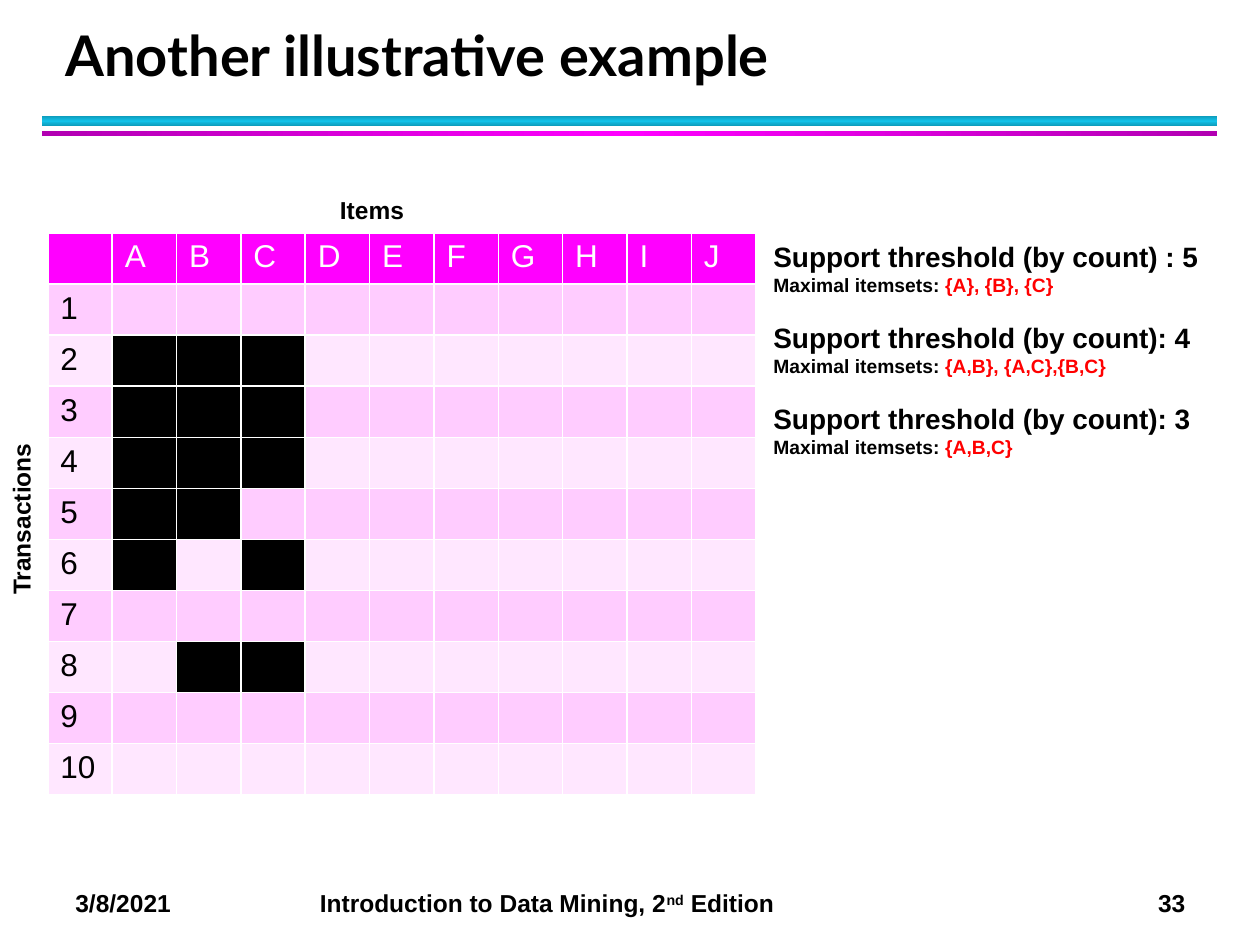
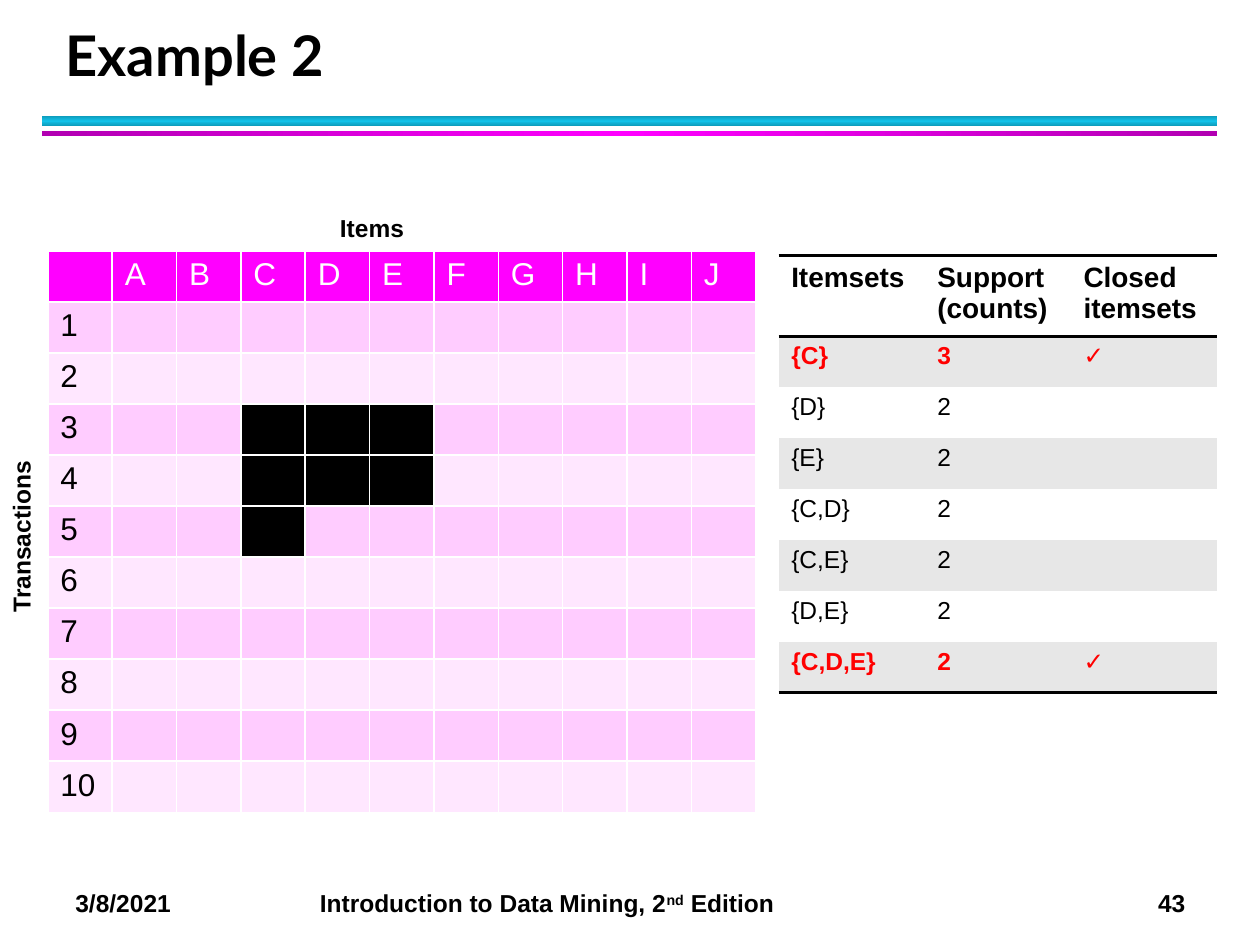
from collections import namedtuple

from pptx import Presentation
from pptx.dml.color import RGBColor
from pptx.enum.shapes import MSO_SHAPE
from pptx.enum.text import MSO_ANCHOR, MSO_AUTO_SIZE, PP_ALIGN
from pptx.oxml import parse_xml
from pptx.util import Inches, Pt

RECTANGLE = MSO_SHAPE.RECTANGLE
BOTTOM = MSO_ANCHOR.BOTTOM
FIXED = MSO_AUTO_SIZE.NONE
LEFT = PP_ALIGN.LEFT

COLUMNS, ROWS = 100, 75
UNIT = Inches(0.1)
TITLE_ONLY = 5
DRAWING = 'xmlns:a="http://schemas.openxmlformats.org/drawingml/2006/main"'
UNSTYLED_TABLE = "{2D5ABB26-0587-4C30-8999-92F81FD0307C}"

BLACK, WHITE, RED, MAGENTA = "000000", "FFFFFF", "FF0000", "FF00FF"
PURPLE, CYAN, TEAL = "B200B2", "12C2E9", "0E9BBA"
PINK_BANDS = ("FFCCFF", "FFE7FF")
GREY_BANDS = ("E7E7E7", WHITE)

BODY = {"name": "Arial", "size": Pt(14), "bold": True}
TITLE = {"name": "Lato", "size": Pt(32), "bold": True}
HEADING = BODY | {"size": Pt(16)}
DETAIL = BODY | {"size": Pt(11)}
GRID_TEXT = BODY | {"size": Pt(18), "bold": False}
PLAIN = BODY | {"bold": False}

ITEMS = "ABCDEFGHIJ"
TRANSACTION_COUNT = 10

Box = namedtuple("Box", "left top width height")

TITLE_BOX = Box(4.2, 1.7, 90.6, 5.8)
BANDS_BOX = Box(3.3, 9.2, 93.3, 1.6)
FOOTER_BOX = Box(5, 70, 93.3, 3.4)


def colour(value):
    return RGBColor.from_string(value)


def place(box):
    return [round(length * UNIT) for length in box]


def apply_format(target, values):
    for name, value in values.items():
        setattr(target, name, value)


def add_run(paragraph, text, values, ink=BLACK):
    run = paragraph.add_run()
    run.text = text
    apply_format(run.font, values)
    run.font.color.rgb = colour(ink)
    return run


def add_label(slide, box, text="", rotation=0):
    label = slide.shapes.add_textbox(*place(box))
    label.rotation = rotation
    label.text_frame.word_wrap = True
    if text:
        add_run(label.text_frame.paragraphs[0], text, BODY)
    return label.text_frame


def add_band(slide, box, edge, middle, angle):
    band = slide.shapes.add_shape(RECTANGLE, *place(box))
    stops = "".join(
        f'<a:gs pos="{position}"><a:srgbClr val="{shade}"/></a:gs>'
        for position, shade in ((0, edge), (50000, middle), (100000, edge))
    )
    band._element.spPr.insert(2, parse_xml(
        f'<a:gradFill {DRAWING}><a:gsLst>{stops}</a:gsLst>'
        f'<a:lin ang="{angle * 60000}" scaled="0"/></a:gradFill>'
    ))
    band.line.fill.background()
    band.shadow.inherit = False


def add_title(slide, box, text):
    title = slide.shapes.title
    apply_format(title, dict(zip(box._fields, place(box))))
    apply_format(title.text_frame, {
        "vertical_anchor": BOTTOM, "auto_size": FIXED, "word_wrap": True,
    })
    paragraph = title.text_frame.paragraphs[0]
    apply_format(paragraph, {"alignment": LEFT, "line_spacing": Pt(36)})
    add_run(paragraph, text, TITLE)


def add_bands(slide, box):
    add_band(slide, box._replace(height=box.height / 2), TEAL, CYAN, 90)
    add_band(slide, box._replace(top=box.top + box.height * 0.75, height=box.height / 4),
             PURPLE, MAGENTA, 0)


def add_footer(slide, box, number):
    paragraph = add_label(slide, box).paragraphs[0]
    stops = "".join(
        f'<a:tab pos="{round(column * UNIT)}" algn="{side}"/>'
        for column, side in ((19.4, "l"), (88.1, "r"))
    )
    paragraph._p.get_or_add_pPr().append(parse_xml(f"<a:tabLst {DRAWING}>{stops}</a:tabLst>"))
    add_run(paragraph, "3/8/2021\tIntroduction to Data Mining, 2", BODY)
    ordinal = add_run(paragraph, "nd", BODY)
    ordinal._r.get_or_add_rPr().set("baseline", "30000")
    add_run(paragraph, f" Edition\t{number}", BODY)


def add_plain_table(slide, box, row_heights, column_count):
    table = slide.shapes.add_table(len(row_heights), column_count, *place(box)).table
    table._tbl.tblPr[0].text = UNSTYLED_TABLE
    for column in table.columns:
        column.width = round(box.width / column_count * UNIT)
    for row, height in zip(table.rows, row_heights):
        row.height = round(height * UNIT)
    return table


def fill_cell(cell, text, values, ink, fill, sides="", border=WHITE, weight=1):
    properties = cell._tc.get_or_add_tcPr()
    for side in sides:
        properties.append(parse_xml(
            f'<a:ln{side} {DRAWING} w="{Pt(weight)}"><a:solidFill>'
            f'<a:srgbClr val="{border}"/></a:solidFill></a:ln{side}>'
        ))
    cell.fill.solid()
    cell.fill.fore_color.rgb = colour(fill)
    for index, line in enumerate(text.split("\n") if text else []):
        frame = cell.text_frame
        add_run(frame.add_paragraph() if index else frame.paragraphs[0], line, values, ink)


def add_transaction_grid(slide, box, purchases):
    row_count = TRANSACTION_COUNT + 1
    table = add_plain_table(slide, box, [box.height / row_count] * row_count, len(ITEMS) + 1)
    for column, item in enumerate(("", *ITEMS)):
        fill_cell(table.cell(0, column), item, GRID_TEXT, WHITE, MAGENTA, "LRTB")
        for transaction in range(1, row_count):
            bought = item and item in purchases.get(transaction, "")
            fill = BLACK if bought else PINK_BANDS[(transaction - 1) % 2]
            text = "" if item else str(transaction)
            fill_cell(table.cell(transaction, column), text, GRID_TEXT, BLACK, fill, "LRTB")
    add_label(slide, Box(box.left + 22.2, box.top - 3.5, 7.7, 4), "Items")
    add_label(slide, Box(box.left - 9.2, box.top + box.height / 2 - 2, 14.8, 4),
              "Transactions", 270)


def add_thresholds(slide, box, thresholds):
    frame = add_label(slide, box)
    for index, (heading, itemsets) in enumerate(thresholds):
        paragraph = frame.add_paragraph() if index else frame.paragraphs[0]
        if index:
            paragraph.space_before = Pt(14)
        add_run(paragraph, heading, HEADING)
        detail = frame.add_paragraph()
        add_run(detail, "Maximal itemsets: ", DETAIL)
        add_run(detail, itemsets, DETAIL, RED)


def add_support_table(slide, box, headers, supports):
    header_height = 6.4
    row_height = (box.height - header_height) / len(supports)
    table = add_plain_table(slide, box, [header_height] + [row_height] * len(supports),
                            len(headers))
    for column, header in enumerate(headers):
        fill_cell(table.cell(0, column), header, HEADING, BLACK, WHITE, "TB", BLACK, 2)
    for row, (itemset, count, closed) in enumerate(supports, 1):
        values, ink = (BODY, RED) if closed else (PLAIN, BLACK)
        sides = "B" if row == len(supports) else ""
        for column, text in enumerate((itemset, str(count), "✓" if closed else "")):
            fill_cell(table.cell(row, column), text, values, ink,
                      GREY_BANDS[(row - 1) % 2], sides, BLACK, 2)


def add_example_slide(deck, title, number, grid_box, purchases):
    slide = deck.slides.add_slide(deck.slide_layouts[TITLE_ONLY])
    add_bands(slide, BANDS_BOX)
    add_footer(slide, FOOTER_BOX, number)
    add_title(slide, TITLE_BOX, title)
    add_transaction_grid(slide, grid_box, purchases)
    return slide


def main():
    deck = Presentation()
    apply_format(deck, {"slide_width": COLUMNS * UNIT, "slide_height": ROWS * UNIT})
    grid_box = Box(3.8, 18.5, 56.2, 44.6)

    maximal = add_example_slide(
        deck, "Another illustrative example", 33, grid_box,
        {2: "ABC", 3: "ABC", 4: "ABC", 5: "AB", 6: "AC", 8: "BC"},
    )
    add_thresholds(maximal, Box(60.4, 18.5, 37, 18.5), (
        ("Support threshold (by count) : 5", "{A}, {B}, {C}"),
        ("Support threshold (by count): 4", "{A,B}, {A,C},{B,C}"),
        ("Support threshold (by count): 3", "{A,B,C}"),
    ))

    closed = add_example_slide(
        deck, "Example 2", 43, grid_box._replace(top=19.9),
        {3: "CDE", 4: "CDE", 5: "C"},
    )
    add_support_table(
        closed, Box(61.8, 20.3, 34.8, 34.7),
        ("Itemsets", "Support\n(counts)", "Closed itemsets"),
        (
            ("{C}", 3, True),
            ("{D}", 2, False),
            ("{E}", 2, False),
            ("{C,D}", 2, False),
            ("{C,E}", 2, False),
            ("{D,E}", 2, False),
            ("{C,D,E}", 2, True),
        ),
    )
    deck.save("out.pptx")


if __name__ == "__main__":
    main()
